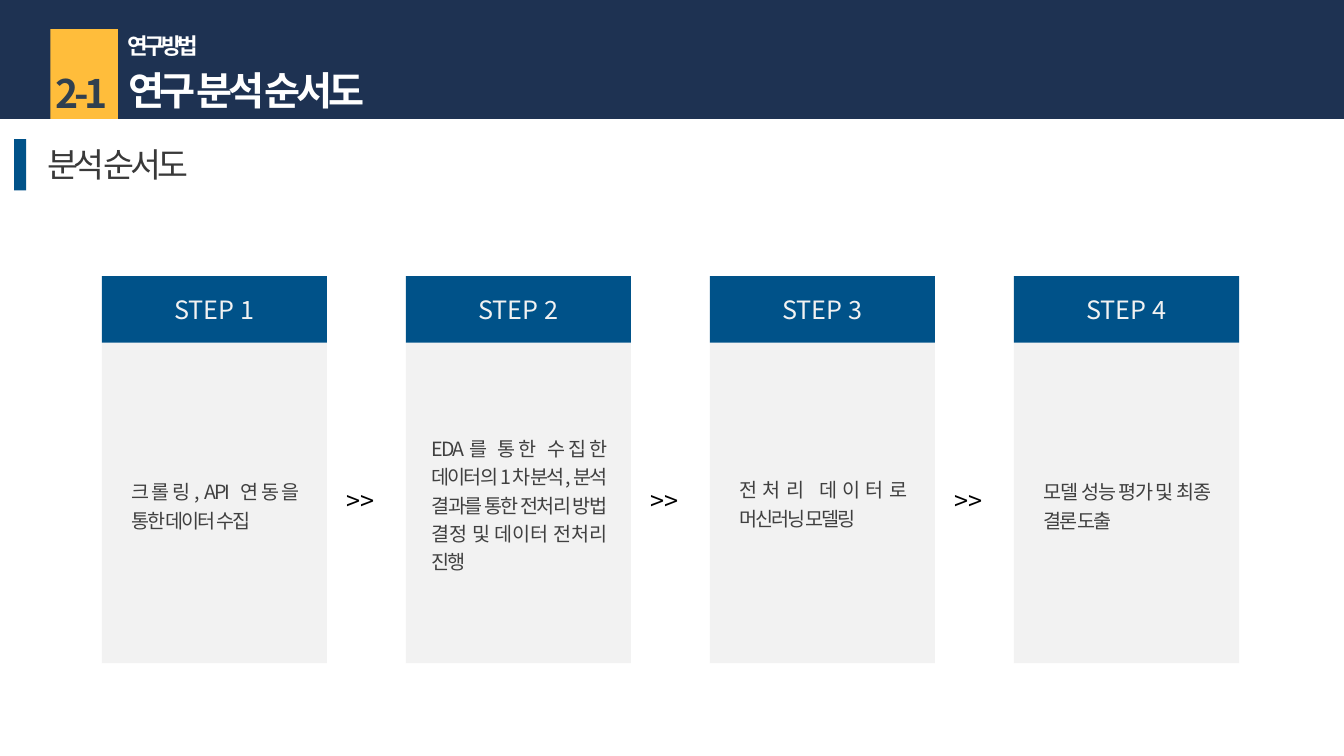
from lxml import etree
from pptx import Presentation
from pptx import util as u
from pptx.dml import color
from pptx.enum import shapes, text
from pptx.oxml import ns

NAVY, BLUE, AMBER, PALE, WHITE = "1E3252", "005289", "FFBD3B", "F2F2F2", "FFFFFF"
ALIGN = text.PP_ALIGN


def rgb(code):
    return color.RGBColor.from_string(code)


class Deck:
    font = "Noto Sans CJK KR"

    def __init__(self):
        self.prs = Presentation()
        self.prs.slide_width, self.prs.slide_height = u.Inches(13.33), u.Inches(7.5)
        self.slide = self.prs.slides.add_slide(self.prs.slide_layouts[5])

    def area(self, x, y, w, h):
        wide, high = self.prs.slide_width, self.prs.slide_height
        return [int(share * side / 100) for share, side in zip((x, y, w, h), (wide, high) * 2)]

    def set_words(self, item, words, size, ink, align=ALIGN.LEFT, anchor=text.MSO_ANCHOR.TOP,
                  bold=False, wrap=True, spacing=0, leading=None):
        frame = item.text_frame
        frame.text = words
        paragraph = frame.paragraphs[0]
        run = paragraph.runs[0]
        formats = {
            frame: {"word_wrap": wrap, "vertical_anchor": anchor,
                    "auto_size": text.MSO_AUTO_SIZE.SHAPE_TO_FIT_TEXT},
            paragraph: {"alignment": align, "line_spacing": leading},
            run.font: {"name": self.font, "size": u.Pt(size), "bold": bold},
        }
        for target, values in formats.items():
            for key, value in values.items():
                setattr(target, key, value)
        run.font.color.rgb = rgb(ink)
        props = run._r.get_or_add_rPr()
        props.set("spc", str(int(spacing * 100)))
        etree.SubElement(props, ns.qn("a:ea")).set("typeface", self.font)

    def box(self, place, fill):
        item = self.slide.shapes.add_shape(shapes.MSO_SHAPE.RECTANGLE, *self.area(*place))
        item.shadow.inherit = False
        item.fill.solid()
        item.fill.fore_color.rgb = rgb(fill)
        item.line.fill.background()
        return item

    def label(self, place, words, size, ink, **style):
        self.set_words(self.slide.shapes.add_textbox(*self.area(*place)), words, size, ink, **style)

    def title(self, place, words, size, ink, **style):
        heading = self.slide.shapes.title
        heading.left, heading.top, heading.width, heading.height = self.area(*place)
        self.set_words(heading, words, size, ink, **style)
        self.slide.shapes._spTree.append(heading._element)


def header(deck):
    deck.label((2.78, 18.4, 13.13, 6.67), "분석 순서도", 24, "393939", wrap=False, spacing=-3)
    deck.box((1.05, 18.4, 0.9, 6.8), BLUE)
    deck.box((0, 0, 100, 15.73), NAVY)
    deck.box((3.75, 3.87, 5.03, 11.87), AMBER)
    strong = {"bold": True, "spacing": -3}
    deck.title((8.78, 8.13, 41.25, 7.6), "연구 분석 순서도", 28, WHITE, **strong)
    deck.label((8.78, 3.6, 41.25, 4.93), "연구 방법", 16, WHITE, **strong)
    deck.label((2.85, 8.53, 6.45, 7.6), "2-1", 28, "30404F", align=ALIGN.CENTER, **strong)


def flow(deck, steps):
    first, width, pitch = 7.58, 16.75, 22.62
    step_width, arrow_width = 7.95, 4.43
    for index, (words, top, text_width, height) in enumerate(steps):
        left = first + index * pitch
        deck.box((left, 45.33, width, 42.4), PALE)
        deck.box((left, 36.53, width, 8.8), BLUE)
        step = deck.box((left + (width - step_width) / 2, 38, step_width, 5.87), BLUE)
        deck.set_words(step, f"STEP {index + 1}", 18, PALE, align=ALIGN.CENTER,
                       anchor=text.MSO_ANCHOR.MIDDLE, wrap=False)
        deck.label((left + (width - text_width) / 2, top, text_width, height), words, 14,
                   "404040", align=ALIGN.JUSTIFY, spacing=-1.5, leading=1.2)
        if index:
            gap_middle = left - (pitch - width) / 2
            deck.label((gap_middle - arrow_width / 2, 63.6, arrow_width, 5.87), ">>", 18,
                       "000000", wrap=False)


def main():
    deck = Deck()
    header(deck)
    flow(deck, [
        ("크롤링, API 연동을 통한 데이터 수집", 62.27, 13.8, 8.4),
        ("EDA를 통한 수집한 데이터의 1차 분석, 분석 결과를 통한 전처리 방법 결정 및 데이터 전처리 진행",
         56.53, 14.4, 19.87),
        ("전처리 데이터로 머신러닝 모델링", 62, 13.8, 8.93),
        ("모델 성능 평가 및 최종 결론 도출", 62.27, 13.8, 8.53),
    ])
    deck.prs.save("out.pptx")


if __name__ == "__main__":
    main()
